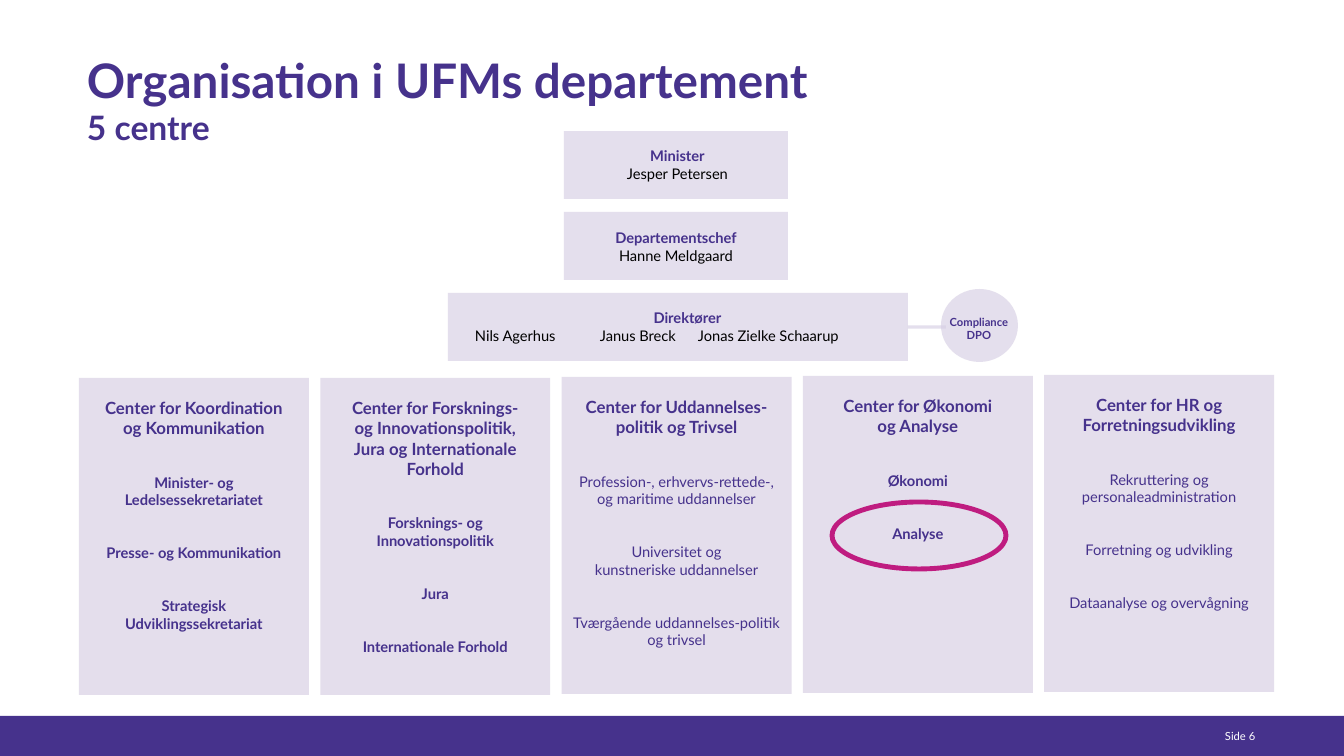
from lxml import etree
from pptx import Presentation
from pptx.dml.color import RGBColor
from pptx.enum.shapes import MSO_CONNECTOR, MSO_SHAPE
from pptx.enum.text import MSO_ANCHOR, PP_ALIGN
from pptx.oxml.ns import qn
from pptx.util import Emu, Pt

RECT, OVAL = MSO_SHAPE.RECTANGLE, MSO_SHAPE.OVAL
STRAIGHT = MSO_CONNECTOR.STRAIGHT
LEFT, CENTER = PP_ALIGN.LEFT, PP_ALIGN.CENTER
TOP, BOTTOM = MSO_ANCHOR.TOP, MSO_ANCHOR.BOTTOM

FONT = "Lato"
COLORS = {"purple": "46328C", "card": "C4B8D6", "leader": "D7CFE4",
          "magenta": "BF1C80", "black": "000000", "white": "FFFFFF"}
CARD_OPACITY, LEADER_OPACITY = 45, 65

TITLE = "Organisation i UFMs departement"
SUBTITLE = "5 centre"
PAGE_LABEL = "Side 6"
COMPLIANCE = "Compliance DPO"

# box (left, top, width, height), text area, role, names
LEADERS = [
    ((564, 131, 224, 68), (585, 147, 185, 35), "Minister", ["Jesper Petersen"]),
    ((564, 212, 224, 68), (578, 229, 196, 35), "Departementschef", ["Hanne Meldgaard"]),
    ((448, 293, 460, 68), (475, 309, 425, 54), "Direktører",
     ["Nils Agerhus", "Janus Breck", "Jonas Zielke Schaarup"]),
]
NAME_TABS = [125, 223]

# card top, text width, text height, heading lines, units as lines, bold units
CENTRES = [
    (378, 204, 254, ["Center for Koordination", "og Kommunikation"],
     [["Minister- og Ledelsessekretariatet"], ["Presse- og Kommunikation"],
      ["Strategisk Udviklingssekretariat"]], True),
    (378, 203, 296, ["Center for Forsknings-", "og Innovationspolitik,",
                     "Jura og Internationale Forhold"],
     [["Forsknings- og Innovationspolitik"], ["Jura"], ["Internationale Forhold"]], True),
    (377, 213, 272, ["Center for Uddannelses-politik og Trivsel"],
     [["Profession-, erhvervs-rettede-, og maritime uddannelser"],
      ["Universitet og", "kunstneriske uddannelser"],
      ["Tværgående uddannelses-politik og trivsel"]], False),
    (376, 192, 165, ["Center for Økonomi", "og Analyse"],
     [["Økonomi"], ["Analyse"]], True),
    (375, 192, 254, ["Center for HR og Forretningsudvikling"],
     [["Rekruttering og personaleadministration"], ["Forretning og udvikling"],
      ["Dataanalyse og overvågning"]], False),
]
CARD_LEFT, CARD_STEP, CARD_WIDTH, CARD_HEIGHT = 79, 241.3, 230, 317
HEADING_DROP = 20
UNIT_GAP = 25.2

SCALE = 914400 / 100.8


def px(length):
    return Emu(round(length * SCALE))


def rgb(name):
    return RGBColor.from_string(COLORS[name])


def set_opacity(color_parent, percent):
    color = color_parent.find(".//" + qn("a:srgbClr"))
    etree.SubElement(color, qn("a:alpha")).set("val", str(percent * 1000))


def add_box(page, kind, area, fill=None, opacity=100):
    box = page.shapes.add_shape(kind, *map(px, area))
    box.shadow.inherit = False
    box.line.fill.background()
    if fill is None:
        box.fill.background()
    else:
        box.fill.solid()
        box.fill.fore_color.rgb = rgb(fill)
        if opacity < 100:
            set_opacity(box._element.spPr, opacity)
    return box


def add_text(page, area, lines, align=CENTER, anchor=TOP):
    """Lines are (text, size, bold, colour, space before); returns the paragraphs."""
    frame = page.shapes.add_textbox(*map(px, area)).text_frame
    frame.word_wrap = True
    frame.vertical_anchor = anchor
    frame.margin_left = frame.margin_top = frame.margin_right = frame.margin_bottom = 0
    frame.text = "\n".join(line[0] for line in lines)
    for para, (_, size, bold, color, gap) in zip(frame.paragraphs, lines):
        para.alignment = align
        if gap:
            para.space_before = Pt(gap)
        for span in para.runs:
            span.font.name = FONT
            span.font.size = Pt(size)
            span.font.bold = bold
            span.font.color.rgb = rgb(color)
    return frame.paragraphs


def add_tabs(para, stops):
    tabs = etree.SubElement(para._p.get_or_add_pPr(), qn("a:tabLst"))
    for stop in stops:
        tab = etree.SubElement(tabs, qn("a:tab"))
        tab.set("pos", str(px(stop)))
        tab.set("algn", "l")


def add_leader(page, area, text_area, role, names):
    box = add_box(page, RECT, area, "leader", LEADER_OPACITY)
    paras = add_text(page, text_area, [(role, 10.5, True, "purple", 0),
                                       ("\t".join(names), 10.5, False, "black", 0)])
    if len(names) > 1:
        paras[1].alignment = LEFT
        add_tabs(paras[1], NAME_TABS)
        paras[1].runs[0].font.size = Pt(10.5)
    return box


def add_centre(page, index, centre):
    top, width, height, heading, units, bold = centre
    left = CARD_LEFT + index * CARD_STEP
    add_box(page, RECT, (left, top, CARD_WIDTH, CARD_HEIGHT), "card", CARD_OPACITY)
    lines = [(text, 12, True, "purple", 0) for text in heading]
    for unit in units:
        for position, text in enumerate(unit):
            lines.append((text, 10.5, bold, "purple", 0 if position else UNIT_GAP))
    text_left = left + (CARD_WIDTH - width) / 2
    add_text(page, (text_left, top + HEADING_DROP, width, height), lines)


def add_compliance(page, directors):
    link = page.shapes.add_connector(STRAIGHT, px(908), px(327), px(946), px(327))
    link.begin_connect(directors, 3)
    link.line.color.rgb = rgb("leader")
    link.line.width = Pt(2.25)
    properties = link._element.spPr
    set_opacity(properties, LEADER_OPACITY)
    etree.SubElement(properties, qn("a:effectLst"))
    add_box(page, OVAL, (941, 289, 77, 73), "leader", LEADER_OPACITY)
    add_text(page, (943, 315, 72, 27), [(COMPLIANCE, 8, True, "purple", 0)])


def main():
    deck = Presentation()
    deck.slide_width, deck.slide_height = px(1344), px(756)
    page = deck.slides.add_slide(deck.slide_layouts[6])

    add_box(page, RECT, (0, 716, 1344, 40), "purple")
    title = add_text(page, (87, 56, 1182, 159),
                     [(TITLE + "\v" + SUBTITLE, 34, True, "purple", 0)], LEFT)[0]
    title.line_spacing = 0.94
    title.runs[1].font.size = Pt(24)
    add_text(page, (1225, 723, 49, 20), [(PAGE_LABEL, 8, False, "white", 0)], LEFT, BOTTOM)

    leader_boxes = [add_leader(page, *leader) for leader in LEADERS]
    for index, centre in enumerate(CENTRES):
        add_centre(page, index, centre)
    add_compliance(page, leader_boxes[-1])

    highlight = add_box(page, OVAL, (832, 502, 174, 67))
    highlight.line.color.rgb = rgb("magenta")
    highlight.line.width = Pt(3.5)

    deck.save("out.pptx")


if __name__ == "__main__":
    main()
